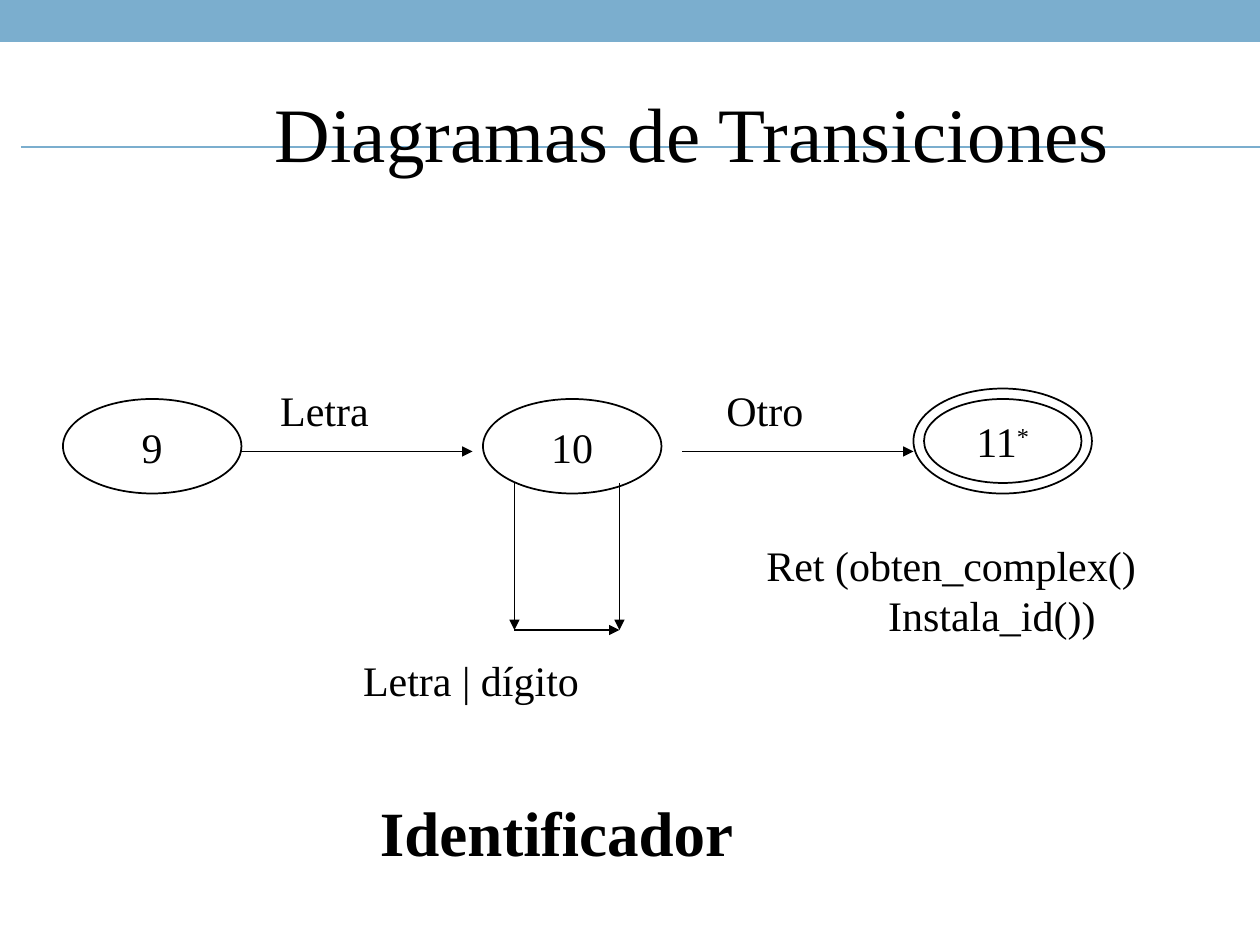
import pptx
import pptx.util
import pptx.dml.color
import pptx.enum.shapes
import pptx.enum.text
import pptx.oxml
import pptx.oxml.ns

BLACK = pptx.dml.color.RGBColor(0x00, 0x00, 0x00)
BLUE = pptx.dml.color.RGBColor(0x7B, 0xAE, 0xCE)
FACE = "Times New Roman"
SHAPE = pptx.enum.shapes.MSO_SHAPE
ALIGN = pptx.enum.text.PP_ALIGN
ANCHOR = pptx.enum.text.MSO_ANCHOR
qn = pptx.oxml.ns.qn

deck = pptx.Presentation()
deck.slide_width = pptx.util.Inches(10)
deck.slide_height = pptx.util.Inches(7.5)
slide = deck.slides.add_slide(deck.slide_layouts[6])
shapes = slide.shapes
unit = deck.slide_width / 120


def write(text, box, size=24, bold=False, align=ALIGN.LEFT,
          anchor=ANCHOR.TOP, wrap=True, hang=0, power=""):
    frame = box.text_frame
    frame.word_wrap = wrap
    frame.vertical_anchor = anchor
    para = frame.paragraphs[0]
    para.text = text
    para.alignment = align
    if hang:
        props = para._p.get_or_add_pPr()
        props.set("marL", str(int(hang * unit)))
        props.set("indent", str(int(-hang * unit)))
    if power:
        run = para.add_run()
        run.text = power
        run.font._element.set("baseline", "30000")
    for run in para.runs:
        run.font.name = FACE
        run.font.size = pptx.util.Pt(size)
        run.font.bold = bold
        run.font.color.rgb = BLACK


def draw(ends, color=BLACK, arrow=True):
    line = shapes.add_connector(pptx.enum.shapes.MSO_CONNECTOR.STRAIGHT,
                                *[int(n * unit) for n in ends])
    line.line.color.rgb = color
    line.line.width = pptx.util.Pt(1)
    if arrow:
        tail = pptx.oxml.parse_xml(
            '<a:tailEnd xmlns:a="http://schemas.openxmlformats.org/'
            'drawingml/2006/main" type="triangle"/>')
        line.line._get_or_add_ln().append(tail)
    props = line._element.spPr
    props.append(props.makeelement(qn("a:effectLst"), {}))


bar = shapes.add_shape(SHAPE.RECTANGLE, 0, 0, deck.slide_width, int(4 * unit))
bar.shadow.inherit = False
bar.fill.solid()
bar.fill.fore_color.rgb = BLUE
bar.line.fill.background()
draw((2, 14, 120, 14), color=BLUE, arrow=False)

states = [
    ("9", "", (6, 38, 17, 9)),
    ("10", "", (46, 38, 17, 9)),
    ("", "", (87, 37, 17, 10)),
    ("11", "*", (88, 38, 15, 8)),
]
for name, power, place in states:
    state = shapes.add_shape(SHAPE.OVAL, *[int(n * unit) for n in place])
    state.shadow.inherit = False
    state.fill.background()
    state.line.color.rgb = BLACK
    state.line.width = pptx.util.Pt(1)
    if name:
        write(name, state, align=ALIGN.CENTER, anchor=ANCHOR.MIDDLE,
              wrap=False, power=power)

for ends in [(23, 43, 45, 43), (65, 43, 87, 43), (49, 46, 49, 60),
             (49, 60, 59, 60), (59, 46, 59, 60)]:
    draw(ends)

labels = [
    ("Letra", (25.5, 36, 14.4, 6), {}),
    ("Otro", (68, 36, 12, 6), {}),
    ("Letra | dígito", (33.4, 61.7, 36, 6), {}),
    ("Ret (obten_complex()\vInstala_id())", (71.8, 50.8, 39.2, 25),
     {"hang": 11.6}),
    ("Identificador", (35, 75, 49, 8.4), {"size": 36, "bold": True}),
    ("Diagramas de Transiciones", (25, 3, 93, 19),
     {"size": 44, "anchor": ANCHOR.MIDDLE}),
]
for text, place, style in labels:
    write(text, shapes.add_textbox(*[int(n * unit) for n in place]), **style)

deck.save("out.pptx")
